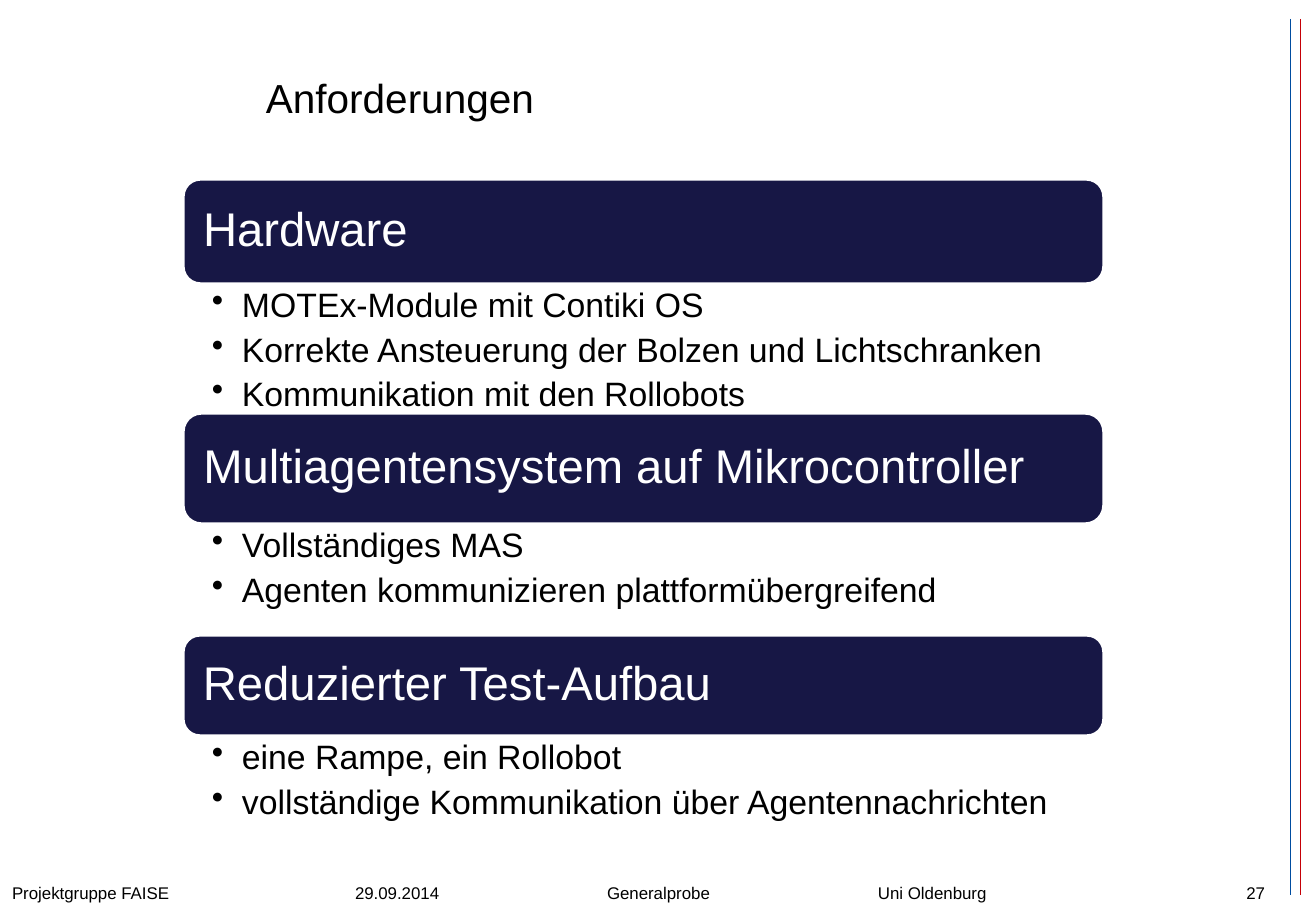
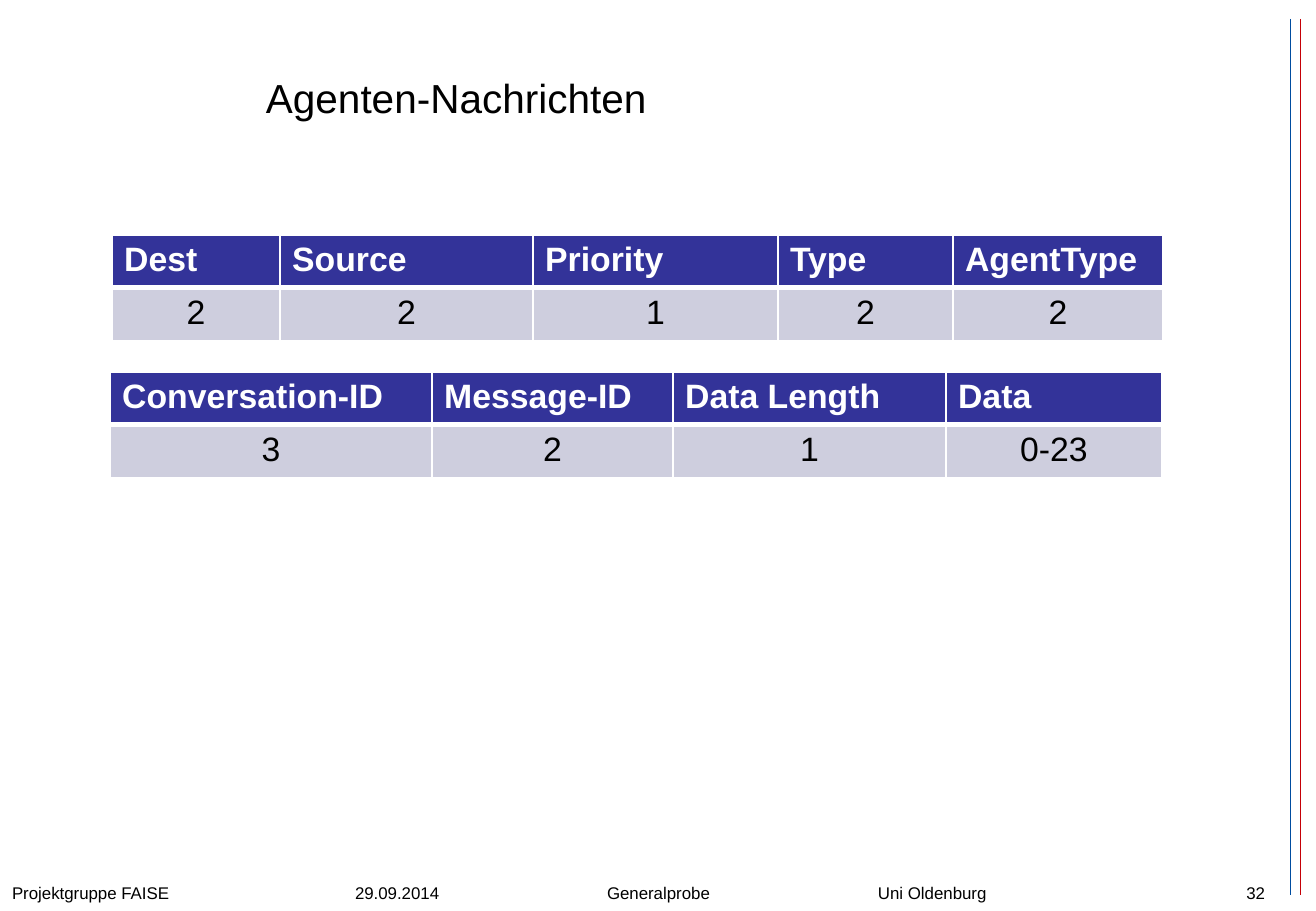
from lxml.etree import SubElement
from pptx import Presentation
from pptx.dml.color import RGBColor
from pptx.enum.shapes import MSO_CONNECTOR, MSO_SHAPE
from pptx.enum.text import MSO_ANCHOR, PP_ALIGN
from pptx.oxml.ns import qn
from pptx.util import Pt

PX = 7526
WIDE, HIGH = 1316, 911
FONT = "Arial"
BLACK = RGBColor(0x00, 0x00, 0x00)
WHITE = RGBColor(0xFF, 0xFF, 0xFF)
NAVY = RGBColor(0x17, 0x17, 0x45)
INDIGO = RGBColor(0x33, 0x33, 0x99)
LILAC = RGBColor(0xCE, 0xCE, 0xDE)
RED = RGBColor(0xC5, 0x00, 0x07)
BLUE = RGBColor(0x00, 0x4C, 0xA0)

FOOTER = ("Projektgruppe FAISE", "29.09.2014", "Generalprobe", "Uni Oldenburg")
TABS = (343, 595, 866)
SECTIONS = (
    ("Hardware", 105, 129, (
        "MOTEx-Module mit Contiki OS",
        "Korrekte Ansteuerung der Bolzen und Lichtschranken",
        "Kommunikation mit den Rollobots")),
    ("Multiagentensystem auf Mikrocontroller", 111, 111, (
        "Vollständiges MAS",
        "Agenten kommunizieren plattformübergreifend")),
    ("Reduzierter Test-Aufbau", 101, 112, (
        "eine Rampe, ein Rollobot",
        "vollständige Kommunikation über Agentennachrichten")),
)
FIELDS = (
    ((112, 235), (168, 253, 245, 175, 210), (
        ("Dest", "Source", "Priority", "Type", "AgentType"),
        ("2", "2", "1", "2", "2"))),
    ((110, 372), (322, 241, 273, 216), (
        ("Conversation-ID", "Message-ID", "Data Length", "Data"),
        ("3", "2", "1", "0-23"))),
)


def scale(*sizes):
    """Turn px lengths into EMU."""
    return [size * PX for size in sizes]


def write(para, text, size, color=BLACK, bold=False):
    """Add one run of text to a paragraph."""
    run = para.add_run()
    run.text = text
    font = run.font
    font.name, font.size, font.bold = FONT, Pt(size), bold
    font.color.rgb = color


def pad(frame, left, top, right, bottom):
    """Wrap a text frame and set its insets."""
    frame.word_wrap = True
    (frame.margin_left, frame.margin_top,
     frame.margin_right, frame.margin_bottom) = scale(left, top, right, bottom)


def add_box(slide, box, anchor=MSO_ANCHOR.TOP, inset=(12, 6, 12, 6)):
    """Add an empty text box and return its text frame."""
    frame = slide.shapes.add_textbox(*scale(*box)).text_frame
    pad(frame, *inset)
    frame.vertical_anchor = anchor
    return frame


def add_rule(slide, left, color):
    """Draw one thin upright line at the right edge."""
    line = slide.shapes.add_connector(
        MSO_CONNECTOR.STRAIGHT, *scale(left, 19, left, 895))
    line.line.color.rgb = color
    line.line.width = Pt(0.25)
    SubElement(line._element.spPr, qn("a:effectLst"))


def add_foot(slide, box, number):
    """Place the tabbed footer and the page number."""
    left, top, width, height = box
    para = add_box(slide, box).paragraphs[0]
    stops = SubElement(para._p.get_or_add_pPr(), qn("a:tabLst"))
    for stop in TABS:
        SubElement(stops, qn("a:tab"), pos=str(stop * PX), algn="l")
    write(para, "\t".join(FOOTER), 10)
    page = add_box(slide, (left + 970, top, width - 931, height)).paragraphs[0]
    page.alignment = PP_ALIGN.RIGHT
    write(page, str(number), 10)


def add_page(deck, title, number):
    """Add a slide with title, edge lines and footer."""
    slide = deck.slides.add_slide(deck.slide_layouts[6])
    add_rule(slide, 1300, RED)
    add_rule(slide, 1290, BLUE)
    head = add_box(slide, (254, 36, 996, 123), MSO_ANCHOR.MIDDLE)
    write(head.paragraphs[0], title, 24)
    add_foot(slide, (0, 877, 1238, 34), number)
    return slide


def add_card(slide, box, text):
    """Draw one rounded heading bar."""
    card = slide.shapes.add_shape(MSO_SHAPE.ROUNDED_RECTANGLE, *scale(*box))
    card.shadow.inherit = False
    card.fill.solid()
    card.fill.fore_color.rgb = NAVY
    card.line.color.rgb = WHITE
    card.line.width = Pt(2)
    frame = card.text_frame
    pad(frame, 15, 10, 15, 10)
    frame.vertical_anchor = MSO_ANCHOR.MIDDLE
    para = frame.paragraphs[0]
    para.alignment = PP_ALIGN.LEFT
    para.line_spacing = 0.9
    write(para, text, 28, WHITE)


def add_list(slide, box, items):
    """Place a bulleted list."""
    frame = add_box(slide, box, inset=(29, 4, 19, 4))
    for index, item in enumerate(items):
        para = frame.add_paragraph() if index else frame.paragraphs[0]
        props = para._p.get_or_add_pPr()
        props.set("marL", str(30 * PX))
        props.set("indent", str(-30 * PX))
        SubElement(props, qn("a:buChar"), char="•")
        para.line_spacing = 0.9
        para.space_after = Pt(5)
        write(para, item, 20)


def add_stack(slide, left, top, width):
    """Stack heading bars and lists from the top down."""
    for text, bar, body, items in SECTIONS:
        add_card(slide, (left, top, width, bar), text)
        add_list(slide, (left, top + bar, width, body), items)
        top += bar + body


def edge(cell, sides):
    """Give a cell white borders of the stated widths."""
    props = cell._tc.get_or_add_tcPr()
    for side, width in sides.items():
        line = SubElement(props, qn("a:ln" + side), w=str(Pt(width)))
        fill = SubElement(line, qn("a:solidFill"))
        SubElement(fill, qn("a:srgbClr"), val=str(WHITE))


def add_grid(slide, spot, widths, rows):
    """Place a table with a header row and a value row."""
    table = slide.shapes.add_table(
        len(rows), len(widths), *scale(*spot, sum(widths), 50 * len(rows))).table
    for col, width in zip(table.columns, widths):
        col.width = width * PX
    for r, row in enumerate(rows):
        head = r == 0
        table.rows[r].height = 50 * PX
        for c, text in enumerate(row):
            cell = table.cell(r, c)
            edge(cell, {"L": 1, "R": 1, "T": 1 if head else 3, "B": 3 if head else 1})
            cell.fill.solid()
            cell.fill.fore_color.rgb = INDIGO if head else LILAC
            para = cell.text_frame.paragraphs[0]
            para.alignment = PP_ALIGN.LEFT if head else PP_ALIGN.CENTER
            write(para, text, 20, WHITE if head else BLACK, head)


def main():
    """Build and save the slides."""
    deck = Presentation()
    deck.slide_width, deck.slide_height = scale(WIDE, HIGH)
    add_stack(add_page(deck, "Anforderungen", 27), 183, 179, 921)
    slide = add_page(deck, "Agenten-Nachrichten", 32)
    for spot, widths, rows in FIELDS:
        add_grid(slide, spot, widths, rows)
    deck.save("out.pptx")


if __name__ == "__main__":
    main()
